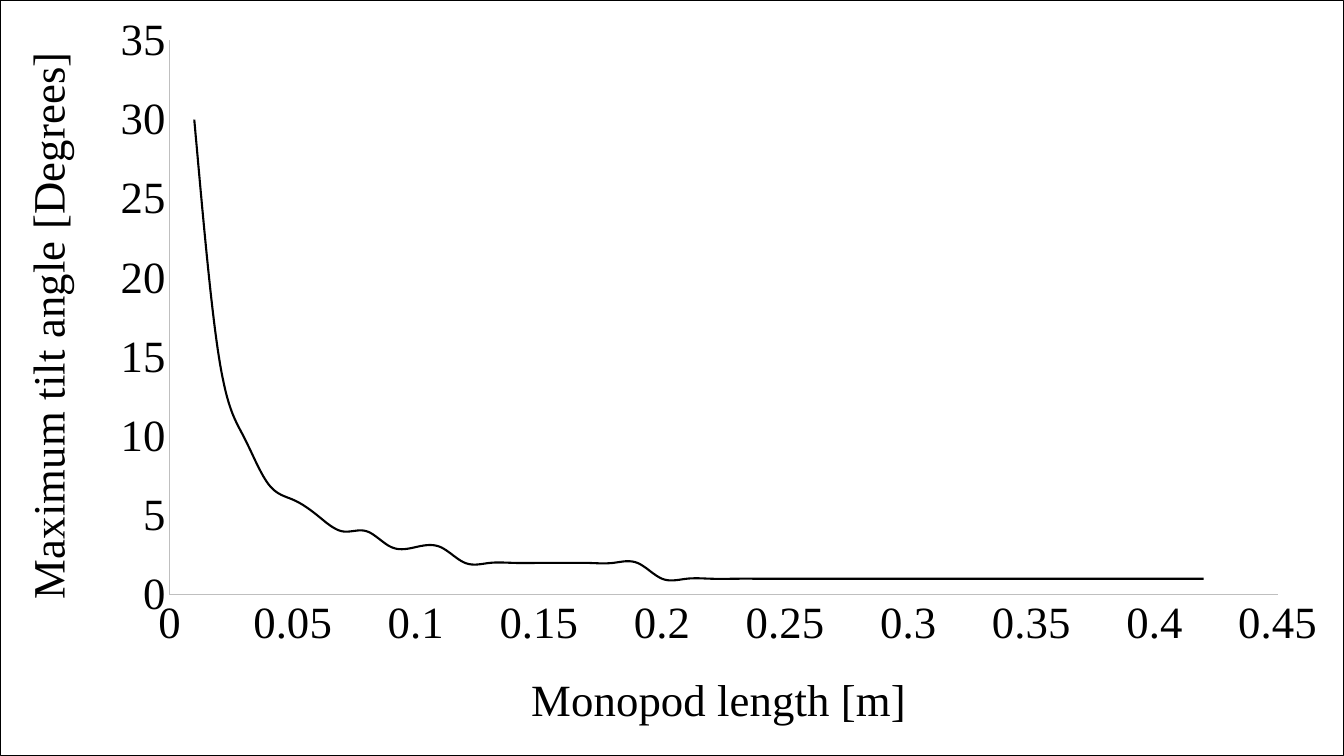
import math

import lxml.etree
import pptx
import pptx.chart.data
import pptx.dml.color
import pptx.enum.chart
import pptx.oxml
import pptx.oxml.ns
import pptx.util

Cm = pptx.util.Cm
Pt = pptx.util.Pt
qn = pptx.oxml.ns.qn

BLACK = pptx.dml.color.RGBColor(0x00, 0x00, 0x00)
AXIS_GREY = pptx.dml.color.RGBColor(0xBF, 0xBF, 0xBF)
FONT = "Times New Roman"
TEXT_SIZE = 32
SLIDE_W, SLIDE_H = Cm(33.87), Cm(19.05)
FOOT_OFFSET = 0.00503
LENGTHS = [n / 100 for n in range(1, 43)]


def set_font(font, size=TEXT_SIZE, color=BLACK, bold=False):
    """Apply the common text format to a font."""
    font.name = FONT
    font.size = Pt(size)
    font.bold = bold
    font.color.rgb = color


def add_text(tf, text, rotation=0, **fmt):
    """Write formatted text into a frame, rotated by whole degrees."""
    r = tf.paragraphs[0].add_run()
    r.text = text
    set_font(r.font, **fmt)
    tf._txBody.find(qn("a:bodyPr")).set("rot", str(rotation * 60000))


def set_layout(parent, inner=False, **fractions):
    """Place a chart part by fractions of the chart area."""
    layout = parent.find(qn("c:layout"))
    if layout is None:
        layout = lxml.etree.Element(qn("c:layout"))
        text = parent.find(qn("c:tx"))
        if text is None:
            parent.insert(0, layout)
        else:
            text.addnext(layout)
    manual = lxml.etree.SubElement(layout, qn("c:manualLayout"))
    values = {"layoutTarget": "inner"} if inner else {}
    values.update(xMode="edge", yMode="edge", **fractions)
    for name, value in values.items():
        lxml.etree.SubElement(manual, qn(f"c:{name}")).set("val", str(value))


def format_axis(axis, title, maximum, step, x, y, rotation=0):
    """Set scale, line, labels and title of one axis."""
    axis.minimum_scale = 0
    axis.maximum_scale = maximum
    axis.major_unit = step
    axis.has_major_gridlines = False
    axis.major_tick_mark = pptx.enum.chart.XL_TICK_MARK.NONE
    axis.minor_tick_mark = pptx.enum.chart.XL_TICK_MARK.NONE
    axis.tick_labels.number_format = "General"
    axis.tick_labels.number_format_is_linked = False
    set_font(axis.tick_labels.font)
    axis.format.line.color.rgb = AXIS_GREY
    axis.format.line.width = Pt(0.75)
    add_text(axis.axis_title.text_frame, title, rotation=rotation)
    set_layout(axis.axis_title._element, x=x, y=y)


def add_border(chart):
    """Outline the whole chart area in black."""
    border = pptx.oxml.parse_xml(
        f'<c:spPr {pptx.oxml.ns.nsdecls("c", "a")}><a:noFill/>'
        f'<a:ln w="{Pt(0.75)}"><a:solidFill><a:srgbClr val="{BLACK}"/>'
        "</a:solidFill></a:ln></c:spPr>"
    )
    chart._chartSpace.find(qn("c:chart")).addnext(border)


def format_curve(curve):
    """Draw the series as a smooth black line without markers."""
    curve.marker.style = pptx.enum.chart.XL_MARKER_STYLE.NONE
    curve.format.line.color.rgb = BLACK
    curve.format.line.width = Pt(1.5)
    smooth = curve._element.find(qn("c:smooth"))
    if smooth is None:
        smooth = lxml.etree.SubElement(curve._element, qn("c:smooth"))
    smooth.set("val", "1")


def add_tilt_chart(s, left, top, width, height):
    """Draw tilt angle against monopod length in the given box."""
    data = pptx.chart.data.XyChartData()
    points = data.add_series("Series 1")
    for length in LENGTHS:
        angle = math.degrees(math.asin(FOOT_OFFSET / length))
        points.add_data_point(length, round(angle))
    kind = pptx.enum.chart.XL_CHART_TYPE.XY_SCATTER_SMOOTH_NO_MARKERS
    chart = s.shapes.add_chart(kind, left, top, width, height, data).chart
    chart.has_title = False
    chart.has_legend = False
    set_font(chart.font)
    plot = chart.plots[0]
    plot.vary_by_categories = False
    format_curve(plot.series[0])
    format_axis(chart.category_axis, "Monopod length [m]", 0.45, 0.05, 0.389, 0.878)
    format_axis(chart.value_axis, "Maximum tilt angle [Degrees]", 35, 5, 0.008, 0.058, rotation=-90)
    area = chart._chartSpace.find(qn("c:chart")).find(qn("c:plotArea"))
    set_layout(area, inner=True, x=0.126, y=0.053, w=0.825, h=0.734)
    add_border(chart)


def main():
    """Build and save the presentation."""
    prs = pptx.Presentation()
    prs.slide_width, prs.slide_height = SLIDE_W, SLIDE_H
    s = prs.slides.add_slide(prs.slide_layouts[6])
    add_tilt_chart(s, Cm(0), Cm(0), SLIDE_W, SLIDE_H)
    prs.save("out.pptx")


if __name__ == "__main__":
    main()
